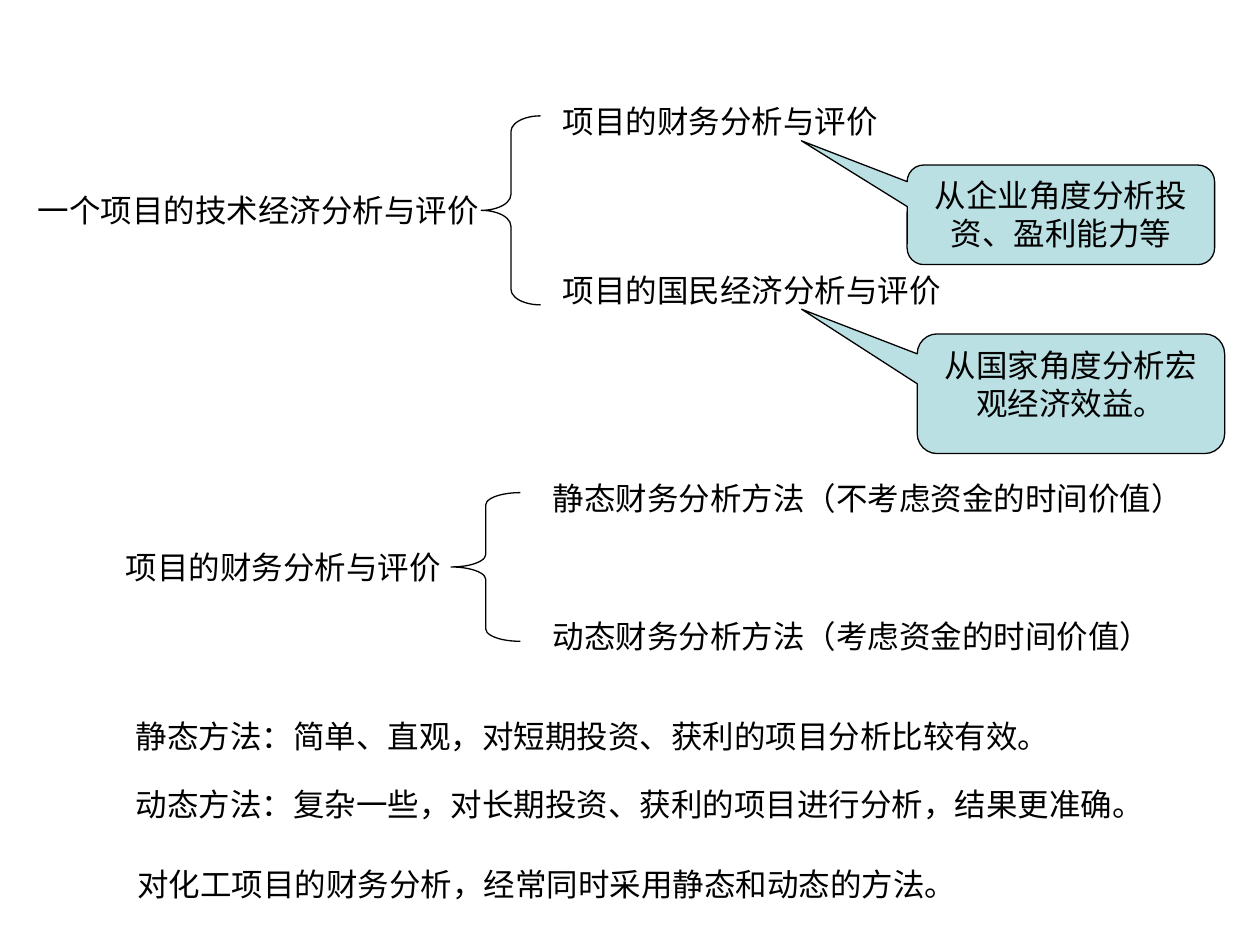
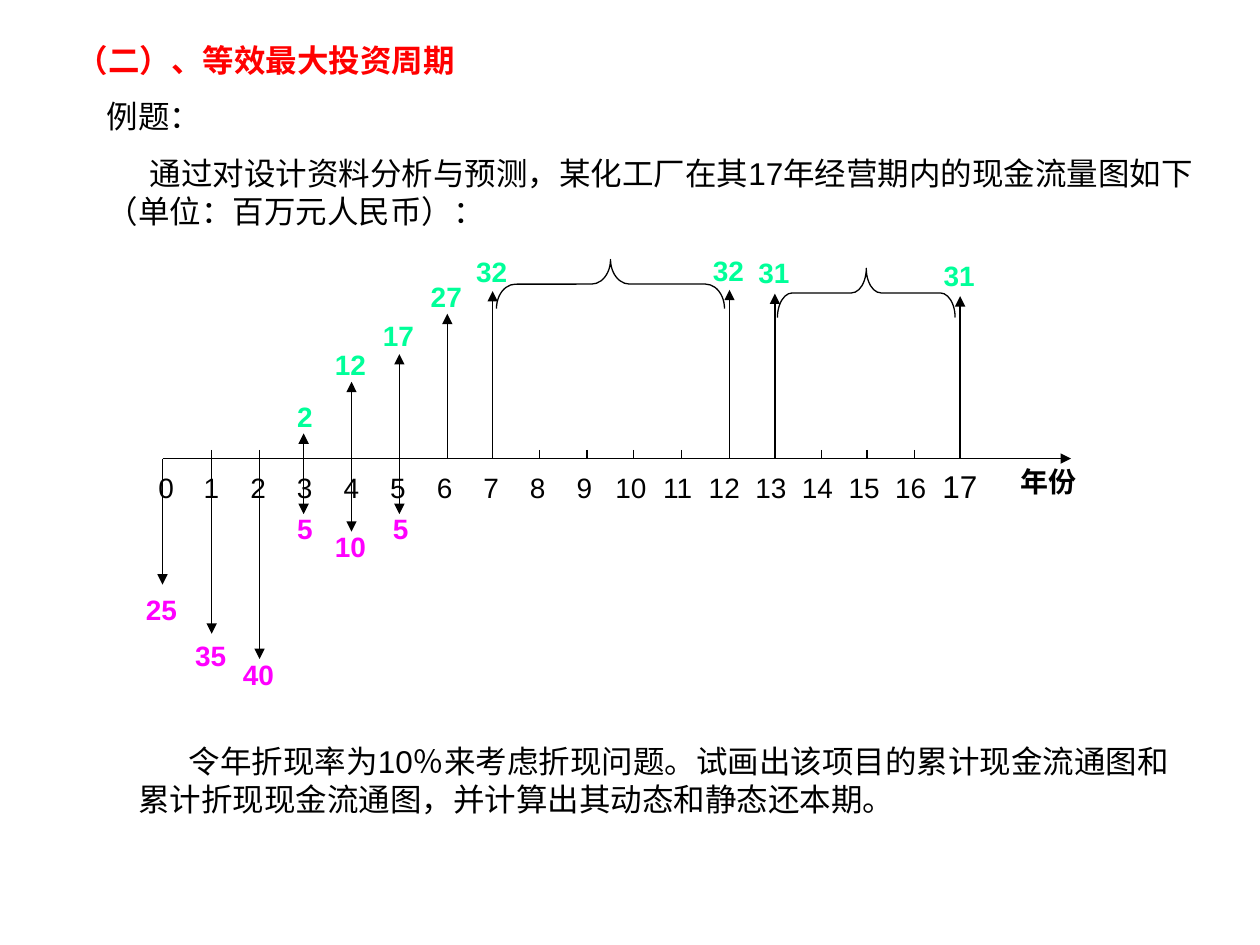
from lxml import etree
from pptx import Presentation
from pptx import util as u
from pptx.dml import color as c
from pptx.enum import shapes, text
from pptx.oxml import ns

BLACK = c.RGBColor(0x00, 0x00, 0x00)
WHITE = c.RGBColor(0xFF, 0xFF, 0xFF)
RED = c.RGBColor(0xFF, 0x00, 0x00)
PALE_TEAL = c.RGBColor(0xBB, 0xE0, 0xE3)
INCOME_GREEN = c.RGBColor(0x00, 0xFF, 0x99)
COST_MAGENTA = c.RGBColor(0xFF, 0x00, 0xFF)
FONT = "Arial"
LINE_WIDTH = u.Pt(0.75)


def write(words, page=None, at=None, box=None, size=18, color=BLACK, bold=False,
          align=None, indents=(0,), tabs=(), last_size=None):
    """Fill a box, or a new text box, with one paragraph per line of words."""
    if box is None:
        box = page.shapes.add_textbox(*map(u.Inches, at))
    frame = box.text_frame
    frame.word_wrap = True
    frame.vertical_anchor = text.MSO_ANCHOR.TOP
    for number, line in enumerate(words.split("\n")):
        para = frame.add_paragraph() if number else frame.paragraphs[0]
        properties = para._p.get_or_add_pPr()
        if indents[number]:
            properties.set("indent", str(u.Inches(indents[number])))
        if tabs:
            stops = etree.SubElement(properties, ns.qn("a:tabLst"))
            for stop in tabs:
                etree.SubElement(stops, ns.qn("a:tab"),
                                 pos=str(u.Inches(stop)), algn="ctr")
        para.space_before = u.Pt(11.2 if number else 0)
        para.alignment = align
        head, gap, tail = line.rpartition("\t") if last_size else (line, "", "")
        for part, part_size in ((head + gap, size), (tail, last_size)):
            if part:
                span = para.add_run()
                span.text = part
                span.font.name = FONT
                span.font.size = u.Pt(part_size)
                span.font.bold = bold
                span.font.color.rgb = color


def draw_line(page, x1, y1, x2, y2, arrow=False):
    line = page.shapes.add_connector(
        shapes.MSO_CONNECTOR.STRAIGHT, *map(u.Inches, (x1, y1, x2, y2)))
    line.line.color.rgb = BLACK
    line.line.width = LINE_WIDTH
    if arrow:
        etree.SubElement(line.line._get_or_add_ln(), ns.qn("a:tailEnd"), type="triangle")
    etree.SubElement(line._element.spPr, ns.qn("a:effectLst"))


deck = Presentation()
deck.slide_width = u.Inches(10)
deck.slide_height = u.Inches(7.5)
methods_page, cash_page = [deck.slides.add_slide(deck.slide_layouts[6]) for _ in range(2)]
for page in (methods_page, cash_page):
    page.background.fill.solid()
    page.background.fill.fore_color.rgb = WHITE

# Braces on both slides: page, left, top, width, height, rotation
for page, left, top, width, height, rotation in (
    (methods_page, 3.82, 0.92, 0.47, 1.5, 0),
    (methods_page, 3.58, 3.91, 0.55, 1.18, 0),
    (cash_page, 4.65, 1.35, 0.39, 1.81, 90),
    (cash_page, 6.68, 1.62, 0.39, 1.41, 90),
):
    brace = page.shapes.add_shape(shapes.MSO_SHAPE.LEFT_BRACE,
                                  *map(u.Inches, (left, top, width, height)))
    brace.adjustments[0] = height / 12 / width
    brace.rotation = rotation
    brace.shadow.inherit = False
    brace.fill.background()
    brace.line.color.rgb = BLACK
    brace.line.width = LINE_WIDTH

# Slide 1: branches and remarks
for words, left, top, width in (
    ("一个项目的技术经济分析与评价", 0.2, 1.47, 3.86),
    ("项目的财务分析与评价", 4.37, 0.76, 3.86),
    ("项目的国民经济分析与评价", 4.37, 2.1, 3.86),
    ("项目的财务分析与评价", 0.9, 4.3, 2.99),
    ("静态财务分析方法（不考虑资金的时间价值）", 4.29, 3.75, 5.43),
    ("动态财务分析方法（考虑资金的时间价值）", 4.29, 4.85, 5.43),
    ("静态方法：简单、直观，对短期投资、获利的项目分析比较有效。", 0.98, 5.64, 8.27),
    ("动态方法：复杂一些，对长期投资、获利的项目进行分析，结果更准确。", 0.98, 6.18, 8.27),
    ("对化工项目的财务分析，经常同时采用静态和动态的方法。", 0.99, 6.82, 8.35),
):
    write(words, methods_page, (left, top, width, 0.4))

# Slide 1: callouts
for words, left, top, height, pointer in (
    ("从企业角度分析投资、盈利能力等", 7.2, 1.31, 0.79, (-0.844, -0.744)),
    ("从国家角度分析宏观经济效益。", 7.28, 2.65, 0.95, (-0.876, -0.706)),
):
    callout = methods_page.shapes.add_shape(
        shapes.MSO_SHAPE.ROUNDED_RECTANGULAR_CALLOUT,
        *map(u.Inches, (left, top, 2.44, height)))
    callout.adjustments[0], callout.adjustments[1] = pointer
    callout.shadow.inherit = False
    callout.fill.solid()
    callout.fill.fore_color.rgb = PALE_TEAL
    callout.line.color.rgb = BLACK
    callout.line.width = LINE_WIDTH
    write(words, box=callout, align=text.PP_ALIGN.CENTER)

# Slide 2: heading and problem text
write("（二）、等效最大投资周期", cash_page, (0.51, 0.28, 7.64, 0.4), color=RED, bold=True)
write("例题：\n通过对设计资料分析与预测，某化工厂在其17年经营期内的现金流量图如下"
      "（单位：百万元人民币）：", cash_page, (0.75, 0.72, 8.82, 1.16), indents=(0, 0.34))
write("令年折现率为10％来考虑折现问题。试画出该项目的累计现金流通图和累计折现现金流通图，"
      "并计算出其动态和静态还本期。", cash_page, (1, 5.84, 8.43, 0.7), indents=(0.4,))

# Slide 2: time axis with one tick per year
AXIS_Y = 3.64
year_x = [1.29, 1.68, 2.06, 2.41, 2.79, 3.17, 3.55, 3.91, 4.28,
          4.66, 5.03, 5.41, 5.79, 6.15, 6.52, 6.88, 7.26, 7.62]
draw_line(cash_page, year_x[0], AXIS_Y, 8.5, AXIS_Y, arrow=True)
for x in year_x[1:]:
    draw_line(cash_page, x, AXIS_Y - 0.07, x, AXIS_Y)
year_stops = [round(0.05 + 0.37 * year, 2) for year in range(1, 17)] + [6.36]
write("\t".join(str(year) for year in range(18)), cash_page, (1.16, 3.66, 7.17, 0.4),
      size=16, tabs=year_stops, last_size=18)
write("年份", cash_page, (8, 3.64, 0.78, 0.37), size=16, bold=True)

# Slide 2: cash flows as year, amount, arrow tip, label top
for year, amount, tip, label_top in (
    (0, 25, 4.64, 4.65), (1, 35, 5.03, 5.02), (2, 40, 5.23, 5.17),
    (3, 5, 4.08, 4.01), (4, 10, 4.22, 4.15), (5, 5, 4.08, 4.01),
    (3, 2, 3.44, 3.12), (4, 12, 3.03, 2.71), (5, 17, 2.81, 2.48),
    (6, 27, 2.49, 2.17), (7, 32, 2.31, 1.97), (12, 32, 2.3, 1.96),
    (13, 31, 2.33, 1.98), (17, 31, 2.35, 2),
):
    x = year_x[year]
    offset, width = (0.15, 0.38) if amount < 10 else (0.23, 0.52)
    draw_line(cash_page, x, AXIS_Y, x, tip, arrow=True)
    write(str(amount), cash_page, (x - offset, label_top, width, 0.37), size=16, bold=True,
          color=COST_MAGENTA if tip > AXIS_Y else INCOME_GREEN)

deck.save("out.pptx")
